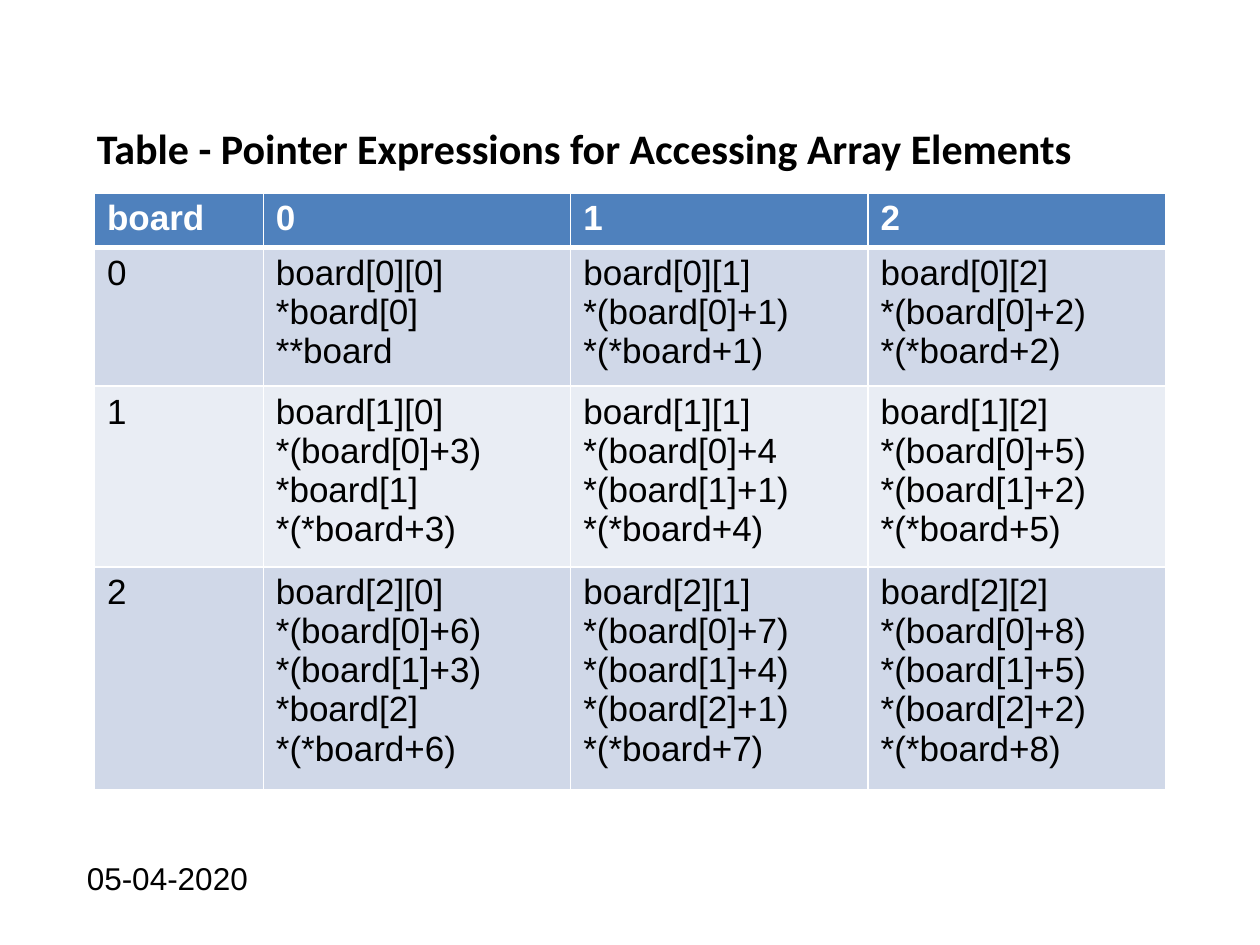
from lxml import etree
from pptx import Presentation, util as u
from pptx.dml.color import RGBColor
from pptx.oxml.ns import qn

HUE = {"ink": "000000", "white": "FFFFFF", "head": "4F81BD",
       "odd": "D0D8E8", "even": "E9EDF4"}
COLS = [1.34, 2.44, 2.36, 2.36]
ROWS = [0.43, 1.1, 1.43, 1.77]
SIZE = 3


def write(frame, lines, size, font="Arial", hue="ink", bold=False):
    """Fill a text frame with one paragraph per line."""
    frame.text = "\n".join(lines)
    for para in frame.paragraphs:
        para.font.size = u.Pt(size)
        para.font.name = font
        para.font.bold = bold
        para.font.color.rgb = RGBColor.from_string(HUE[hue])


def edge(cell, side, width):
    """Draw one white border of a cell, ahead of its fill."""
    props = cell._tc.get_or_add_tcPr()
    line = etree.Element(qn("a:ln" + side), w=str(u.Pt(width)))
    fill = etree.SubElement(line, qn("a:solidFill"))
    etree.SubElement(fill, qn("a:srgbClr"), val=HUE["white"])
    props.insert("LRTB".index(side), line)


deck = Presentation()
deck.slide_width, deck.slide_height = u.Inches(10), u.Inches(7.5)
slide = deck.slides.add_slide(deck.slide_layouts[6])

labels = [
    ((0.67, 0.92, 8.76, 0.5), 24, "Calibri", True,
     "Table - Pointer Expressions for Accessing Array Elements"),
    ((0.59, 6.77, 1.52, 0.47), 18, "Arial", False, "05-04-2020"),
]
for place, size, font, bold, words in labels:
    box = slide.shapes.add_textbox(*map(u.Inches, place))
    box.text_frame.word_wrap = True
    write(box.text_frame, [words], size, font, bold=bold)

# Each element is reached from every row at or above its own.
grid = [[["board"]] + [[str(col)] for col in range(SIZE)]]
for row in range(SIZE):
    cells = [[str(row)]]
    for col in range(SIZE):
        lines = [f"board[{row}][{col}]"]
        for base in range(row + 1):
            step = SIZE * (row - base) + col
            lines.append(f"*(board[{base}]+{step})" if step else f"*board[{base}]")
        step = SIZE * row + col
        lines.append(f"*(*board+{step})" if step else "**board")
        cells.append(lines)
    grid.append(cells)
grid[2][2][1] = "*(board[0]+4"

place = map(u.Inches, (0.75, 1.53, sum(COLS), sum(ROWS)))
table = slide.shapes.add_table(len(ROWS), len(COLS), *place).table
for col, width in zip(table.columns, COLS):
    col.width = u.Inches(width)
for row, height in zip(table.rows, ROWS):
    row.height = u.Inches(height)

for r, cells in enumerate(grid):
    tint = "head" if r == 0 else "odd" if r % 2 else "even"
    for c, lines in enumerate(cells):
        cell = table.cell(r, c)
        write(cell.text_frame, lines, 20,
              hue="ink" if r else "white", bold=r == 0)
        cell.fill.solid()
        cell.fill.fore_color.rgb = RGBColor.from_string(HUE[tint])
        for side in "LRTB":
            thick = (r, side) in ((0, "B"), (1, "T"))
            edge(cell, side, 3 if thick else 1)

deck.save("out.pptx")
